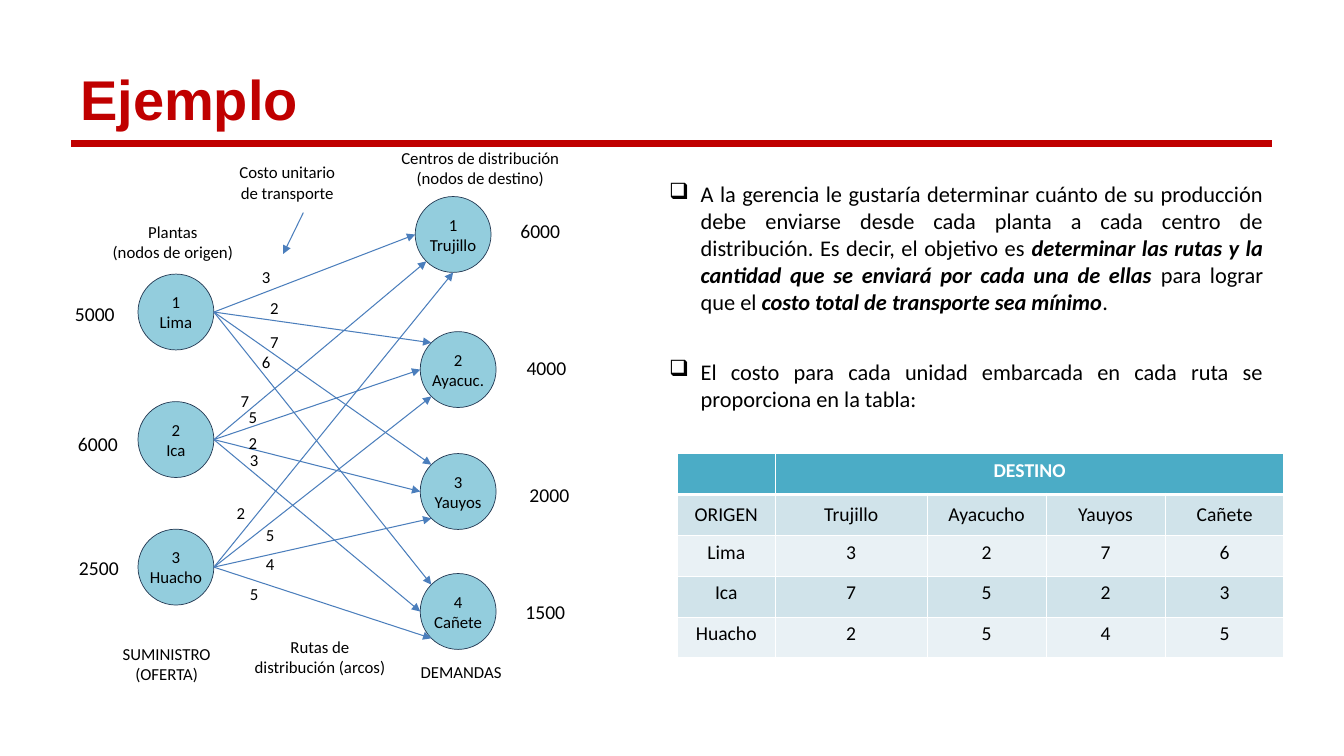
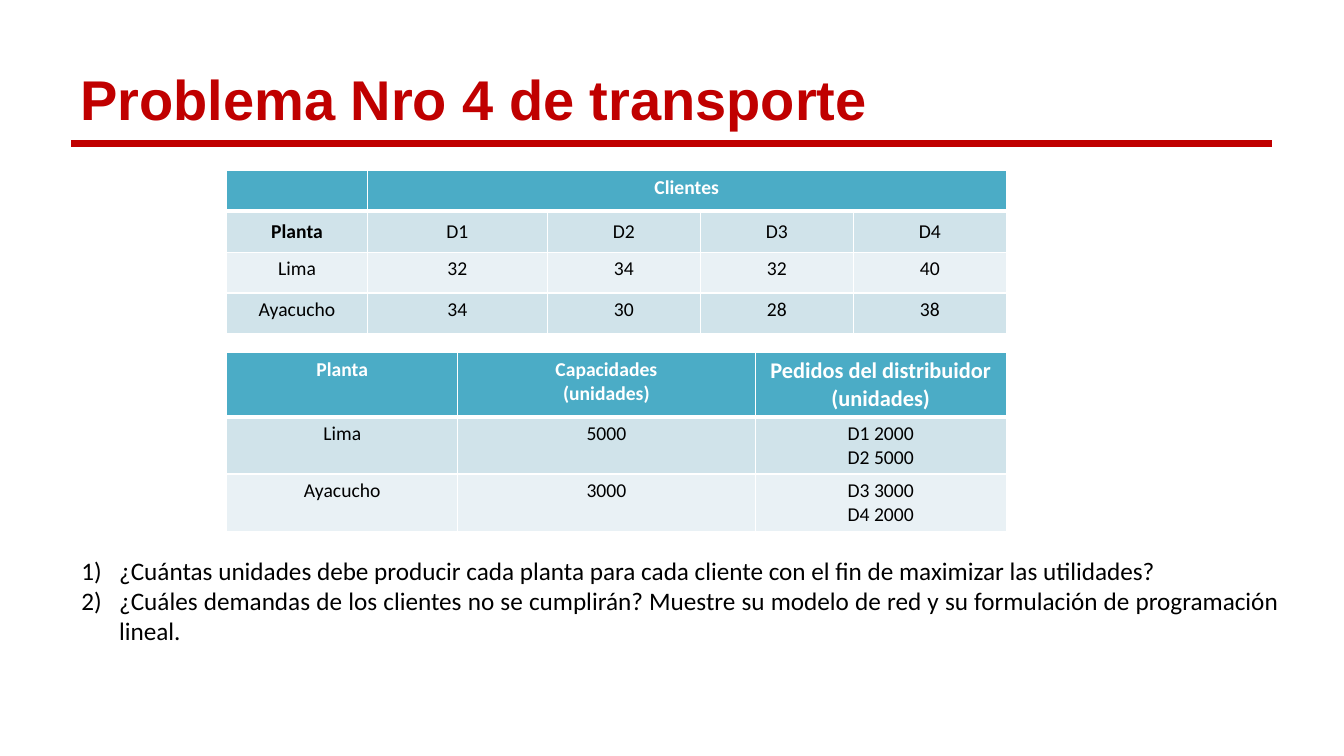
import math
from lxml import etree
from pptx import Presentation
from pptx import util as u
from pptx.dml import color
from pptx.enum import shapes, text
from pptx.oxml import ns

Pt = u.Pt
HUES = {
    "red": "C00000", "node": "93CDDD", "edge": "233953", "arc": "4B7EBC",
    "head": "4BACC6", "odd": "D0E3EA", "even": "E9F1F5",
    "white": "FFFFFF", "black": "000000",
}
MID = text.PP_ALIGN.CENTER
JUST = text.PP_ALIGN.JUSTIFY
COSTS = [["Lima", 3, 2, 7, 6], ["Ica", 7, 5, 2, 3], ["Huacho", 2, 5, 4, 5]]


def hue(name):
    return color.RGBColor.from_string(HUES[name])


def sub(node, tag, **atts):
    return etree.SubElement(node, ns.qn(tag), **atts)


def add_run(para, words, size, tint="black", bold=False, slant=False, face="Calibri"):
    run = para.add_run()
    run.text = words
    font = run.font
    font.name, font.size, font.bold, font.italic = face, Pt(size), bold, slant
    font.color.rgb = hue(tint)


def write(frame, words, size, align=MID, **look):
    for i, line in enumerate(str(words).split("\n")):
        para = frame.paragraphs[0] if i == 0 else frame.add_paragraph()
        para.alignment = align
        add_run(para, line, size, **look)


def add_box(slide, x, y, wide, high):
    frame = slide.shapes.add_textbox(Pt(x), Pt(y), Pt(wide), Pt(high)).text_frame
    frame.word_wrap = True
    return frame


def label(slide, x, y, wide, words, size=12, align=MID):
    high = size * 1.22 * (words.count("\n") + 1) + 7.2
    write(add_box(slide, x, y, wide, high), words, size, align)


def add_line(slide, start, end, tint, weight, tip=False):
    ends = [Pt(v) for v in (*start, *end)]
    line = slide.shapes.add_connector(shapes.MSO_CONNECTOR.STRAIGHT, *ends)
    line.line.color.rgb = hue(tint)
    line.line.width = Pt(weight)
    if tip:
        sub(line.line._get_or_add_ln(), "a:tailEnd", type="triangle")
    sub(line._element.spPr, "a:effectLst")


def add_page(deck, title):
    slide = deck.slides.add_slide(deck.slide_layouts[6])
    add_line(slide, (51, 102.2), (908.6, 102.2), "red", 5)
    frame = add_box(slide, 50.3, 47.5, 712, 45.4)
    frame.vertical_anchor = text.MSO_ANCHOR.MIDDLE
    write(frame, title, 40, text.PP_ALIGN.LEFT, tint="red", bold=True, face="Arial")
    return slide


def add_list(slide, x, y, wide, high, items, size, dent, mark, gap=0):
    frame = add_box(slide, x, y, wide, high)
    for i, item in enumerate(items):
        para = frame.paragraphs[0] if i == 0 else frame.add_paragraph()
        props = para._p.get_or_add_pPr()
        props.set("marL", str(Pt(dent)))
        props.set("indent", str(-Pt(dent)))
        sub(props, mark[0], **mark[1])
        para.alignment = JUST
        if i < len(items) - 1:
            para.space_after = Pt(gap)
        for words, strong in item:
            add_run(para, words, size, bold=strong, slant=strong)


def add_edges(cell, row):
    props = cell._tc.get_or_add_tcPr()
    for side in "LRTB":
        thick = (row, side) in ((0, "B"), (1, "T"))
        edge = sub(props, "a:ln" + side, w=str(Pt(3 if thick else 1)))
        sub(sub(edge, "a:solidFill"), "a:srgbClr", val=HUES["white"])


def add_grid(slide, x, y, cols, highs, rows, span=False, bold=(), sizes=None):
    sizes = sizes or {}
    grid = slide.shapes.add_table(
        len(rows), len(cols), Pt(x), Pt(y), Pt(sum(cols)), Pt(sum(highs))).table
    grid.horz_banding = False
    for col, wide in zip(grid.columns, cols):
        col.width = Pt(wide)
    for r, row in enumerate(rows):
        grid.rows[r].height = Pt(highs[r])
        for c, words in enumerate(row):
            cell = grid.cell(r, c)
            add_edges(cell, r)
            cell.fill.solid()
            cell.fill.fore_color.rgb = hue("head" if r == 0 else "odd" if r % 2 else "even")
            if span and r == 1:
                cell.vertical_anchor = text.MSO_ANCHOR.MIDDLE
            if words != "":
                write(cell.text_frame, words, sizes.get((r, c), 14),
                      tint="black" if r else "white", bold=r == 0 or (r, c) in bold)
    if span:
        grid.cell(0, 1).merge(grid.cell(0, len(cols) - 1))


def add_node(slide, x, y, size, words):
    node = slide.shapes.add_shape(shapes.MSO_SHAPE.OVAL, Pt(x), Pt(y), Pt(size), Pt(size))
    node.shadow.inherit = False
    node.fill.solid()
    node.fill.fore_color.rgb = hue("node")
    node.line.color.rgb = hue("edge")
    node.line.width = Pt(0.5)
    frame = node.text_frame
    frame.margin_left = frame.margin_right = 0
    frame.vertical_anchor = text.MSO_ANCHOR.MIDDLE
    write(frame, words, 12)


def rim(x, y, size, angle):
    half, turn = size / 2, math.radians(angle)
    return x + half + half * math.cos(turn), y + half + half * math.sin(turn)


def add_graph(slide, left, top):
    size = 54.2
    plants = [(left + 62.6, top + 95.8 + 91.1 * i) for i in range(3)]
    goals = [(left + x, top + y) for x, y in
             ((260.6, 40.4), (264.2, 136.9), (264.2, 224), (264.2, 309.7))]
    towns = ["Trujillo", "Ayacuc.", "Yauyos", "Cañete"]
    for spots, names in ((plants, [row[0] for row in COSTS]), (goals, towns)):
        for i, (spot, name) in enumerate(zip(spots, names), 1):
            add_node(slide, *spot, size, f"{i}\n{name}")

    turns = [[180, 225, 225, 225], [135, 180, 180, 180], [90, 135, 135, 135]]
    marks = [
        [(144, 87.2), (149.8, 108.8), (149.8, 133.3), (144, 147.7)],
        [(128.9, 175.8), (134.6, 187.3), (134.6, 205.3), (135.4, 217.5)],
        [(126, 255.7), (146.9, 271.5), (146.9, 291.7), (135.4, 313.3)],
    ]
    for plant, angles, spots, costs in zip(plants, turns, marks, COSTS):
        for goal, angle, (x, y), cost in zip(goals, angles, spots, costs[1:]):
            add_line(slide, rim(*plant, size, 0), rim(*goal, size, angle), "arc", 0.75, True)
            label(slide, left + x, top + y, 26.6, str(cost), align=text.PP_ALIGN.LEFT)

    for x, y, count in (
            (0, 112.4, 5000), (2.2, 205.3, 6000), (2.9, 293.8, 2500),
            (318.2, 52.6, 6000), (322.6, 150.6, 4000),
            (324.7, 241.3, 2000), (321.8, 324.8, 1500)):
        label(slide, left + x, top + y, 63.4, str(count), 14)
    for x, y, wide, words in (
            (31, 54.8, 113, "Plantas\n(nodos de origen)"),
            (239.8, 2.2, 134.6, "Centros de distribución\n(nodos de destino)"),
            (125.3, 12.3, 87.8, "Costo unitario de transporte"),
            (26.6, 356.5, 113, "SUMINISTRO\n(OFERTA)"),
            (236.9, 369.4, 113, "DEMANDAS"),
            (136.1, 351.4, 113, "Rutas de distribución (arcos)")):
        label(slide, left + x, top + y, wide, words)
    add_line(slide, (left + 180.7, top + 51.9), (left + 166.3, top + 81.4), "arc", 0.75, True)


def sample(deck):
    slide = add_page(deck, "Ejemplo")
    add_graph(slide, 36, 100)
    rows = [["", "DESTINO", "", "", ""],
            ["ORIGEN", "Trujillo", "Ayacucho", "Yauyos", "Cañete"], *COSTS]
    add_grid(slide, 483.8, 324, [70, 108.5, 85, 85, 85], [29.2] * 5, rows, span=True)
    items = [
        [("A la gerencia le gustaría determinar cuánto de su producción debe enviarse "
          "desde cada planta a cada centro de distribución. Es decir, el objetivo es ", False),
         ("determinar las rutas y la cantidad que se enviará por cada una de ellas ", True),
         ("para lograr que el ", False),
         ("costo total de transporte sea mínimo", True), (".", False)],
        [("El costo para cada unidad embarcada en cada ruta se proporciona en la tabla:", False)],
    ]
    add_list(slide, 470.9, 125.3, 438.5, 174, items, 16, 22.5,
             ("a:buChar", {"char": "❑"}), 31)


def task(deck):
    slide = add_page(deck, "Problema Nro 4 de transporte")
    rows = [["", "Clientes", "", "", ""], ["Planta", "D1", "D2", "D3", "D4"],
            ["Lima", 32, 34, 32, 40], ["Ayacucho", 34, 30, 28, 38]]
    add_grid(slide, 162, 121.7, [100.4, 128.6, 109.3, 109.3, 109.3], [29.2] * 4, rows,
             span=True, bold=[(1, 0)])
    rows = [["Planta", "Capacidades\n(unidades)", "Pedidos del distribuidor (unidades)"],
            ["Lima", 5000, "D1 2000\nD2 5000"], ["Ayacucho", 3000, "D3 3000\nD4 2000"]]
    add_grid(slide, 162, 251.8, [165, 212.4, 179.5], [46, 40.8, 40.8], rows,
             sizes={(0, 2): 16})
    items = [
        [("¿Cuántas unidades debe producir cada planta para cada cliente con el fin de "
          "maximizar las utilidades?", False)],
        [("¿Cuáles demandas de los clientes no se cumplirán? Muestre su modelo de red y su "
          "formulación de programación lineal.", False)],
    ]
    add_list(slide, 51, 393.1, 869.8, 72.7, items, 18, 27,
             ("a:buAutoNum", {"type": "arabicParenR"}))


def main():
    deck = Presentation()
    deck.slide_width, deck.slide_height = Pt(960), Pt(540)
    sample(deck)
    task(deck)
    deck.save("out.pptx")


if __name__ == "__main__":
    main()
